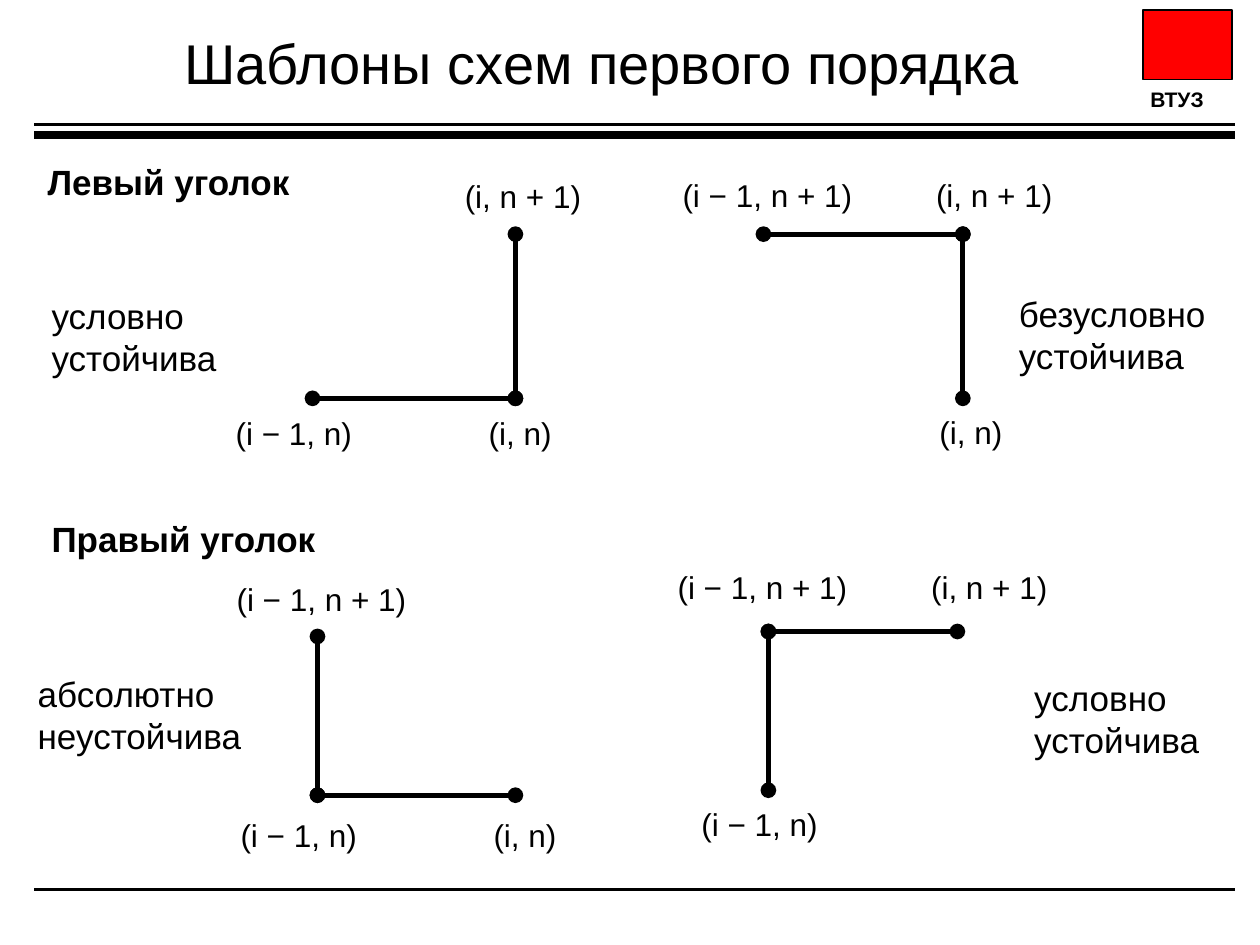
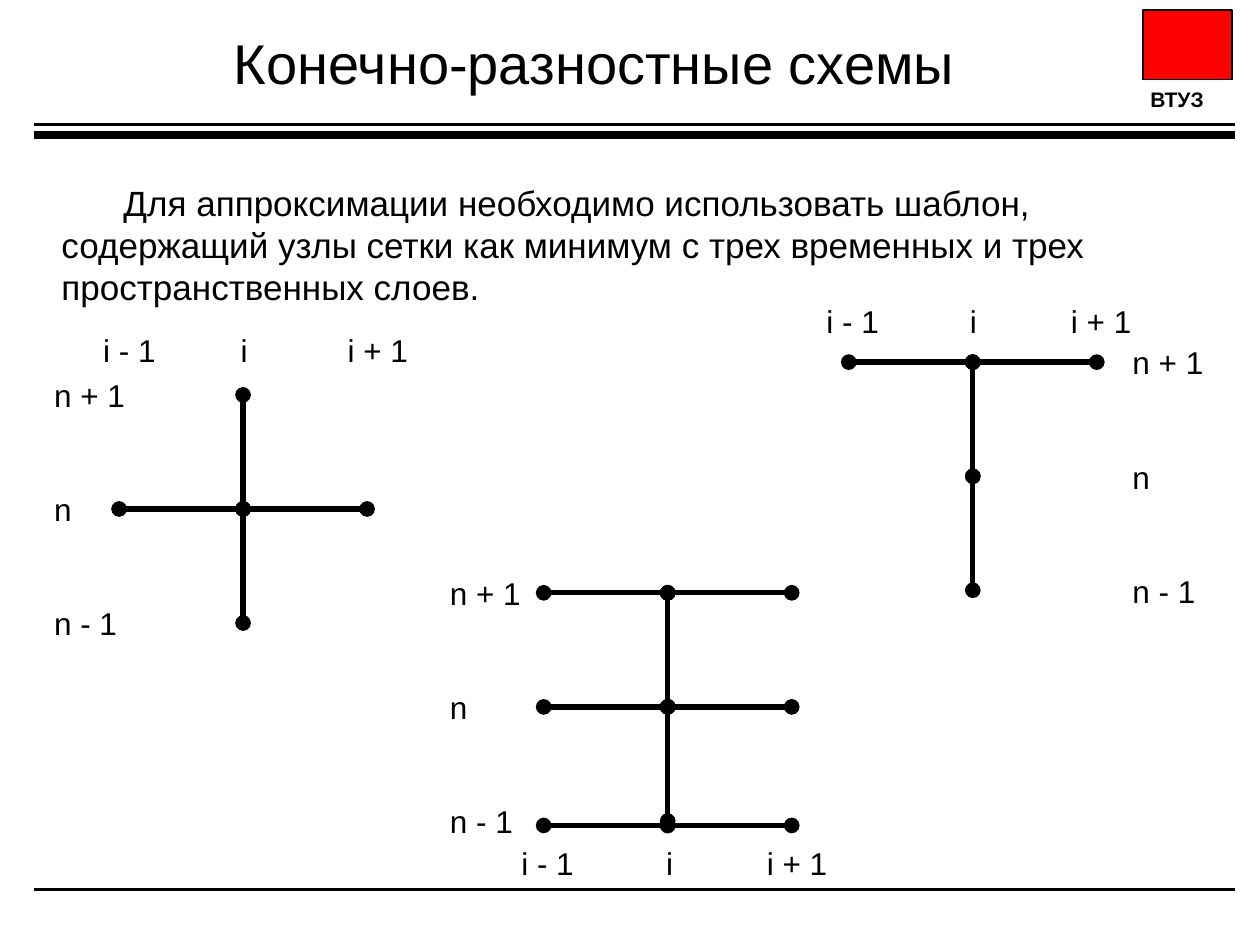
"""Build two slides on grid templates of finite-difference schemes."""
from lxml import etree
from pptx import Presentation
from pptx.dml.color import RGBColor
from pptx.enum.shapes import MSO_CONNECTOR, MSO_SHAPE
from pptx.enum.text import MSO_ANCHOR, MSO_AUTO_SIZE, PP_ALIGN
from pptx.oxml.ns import qn
from pptx.util import Cm, Pt

STRAIGHT = MSO_CONNECTOR.STRAIGHT
RECTANGLE = MSO_SHAPE.RECTANGLE
MIDDLE = MSO_ANCHOR.MIDDLE
CENTER = PP_ALIGN.CENTER
LEFT = PP_ALIGN.LEFT
NO_AUTOFIT = MSO_AUTO_SIZE.NONE

BLACK = RGBColor(0, 0, 0)
RED = RGBColor(255, 0, 0)
FONT = "Arial"
TITLE_ONLY = 5

RULES = [(17.93, 1.5), (2.72, 4.5), (2.51, 1.5)]
COLUMN_STEP, ROW_STEP = 2.5, 2.3
COLUMN_NAMES = ["i - 1", "i", "i + 1"]
ROW_NAMES = ["n + 1", "n", "n - 1"]
LABEL_WIDTHS = {
    "(i, n + 1)": 2.87, "(i − 1, n + 1)": 3.96, "(i, n)": 1.8, "(i − 1, n)": 2.87,
    "n + 1": 1.96, "n": 0.86, "n - 1": 1.8, "i - 1": 1.57, "i": 1.57, "i + 1": 1.75,
}

# corner x, corner y, free end of the row, free end of the column
CORNERS = [
    (10.39, 8.03, 6.3, 4.72),
    (19.41, 4.72, 15.39, 8.03),
    (6.4, 16.03, 10.39, 12.83),
    (15.49, 12.73, 19.3, 15.93),
]
NODE_LABELS = [
    ("(i, n + 1)", 9.12, 3.45), ("(i, n)", 9.6, 8.23), ("(i − 1, n)", 4.5, 8.23),
    ("(i − 1, n + 1)", 13.51, 3.43), ("(i, n + 1)", 18.62, 3.43), ("(i, n)", 18.69, 8.2),
    ("(i − 1, n + 1)", 4.52, 11.56), ("(i − 1, n)", 4.6, 16.33), ("(i, n)", 9.7, 16.33),
    ("(i − 1, n + 1)", 13.41, 11.33), ("(i, n + 1)", 18.52, 11.33), ("(i − 1, n)", 13.89, 16.1),
]
HEADINGS = [("Левый уголок", 0.71, 3.12), ("Правый уголок", 0.79, 10.31)]
STABILITY_NOTES = [
    ("условно устойчива", 0.79, 5.82, 4.7),
    ("безусловно устойчива", 20.29, 5.77, 5.11),
    ("абсолютно неустойчива", 0.51, 13.44, 5.41),
    ("условно устойчива", 20.6, 13.51, 4.7),
]
STENCILS = [
    {"center": (4.9, 10.26), "bars": [0], "row_left": 0.84,
     "column_lefts": [1.83, 4.6, 6.76], "column_top": 6.55},
    {"center": (19.61, 9.6), "bars": [-ROW_STEP], "row_left": 22.58,
     "column_lefts": [16.41, 19.3, 21.34], "column_top": 5.97},
    {"center": (13.46, 14.25), "bars": [-ROW_STEP, 0, 2.39], "row_left": 8.82,
     "column_lefts": [10.26, 13.18, 15.21], "column_top": 16.89},
]


def set_font(paragraph, size, bold=False):
    """Apply the common typeface and colour to a paragraph."""
    for name, value in {"name": FONT, "size": Pt(size), "bold": bold}.items():
        setattr(paragraph.font, name, value)
    paragraph.font.color.rgb = BLACK


def add_text(slide, text, left, top, width, height, size=20, bold=False, wrap=True):
    """Add a text box and return its paragraph."""
    frame = slide.shapes.add_textbox(Cm(left), Cm(top), Cm(width), Cm(height)).text_frame
    frame.word_wrap = wrap
    paragraph = frame.paragraphs[0]
    paragraph.text = text
    paragraph.alignment = LEFT
    set_font(paragraph, size, bold)
    return paragraph


def add_label(slide, text, left, top):
    """Add a one-line grid label."""
    add_text(slide, text, left, top, LABEL_WIDTHS[text], 1.02, size=18, wrap=False)


def add_line(slide, start, end, weight):
    """Add a plain black line and return it."""
    line = slide.shapes.add_connector(STRAIGHT, *map(Cm, start + end))
    line.line.color.rgb = BLACK
    line.line.width = Pt(weight)
    etree.SubElement(line._element.spPr, qn("a:effectLst"))
    return line


def add_edge(slide, start, end):
    """Add a grid edge with a round node at each end."""
    outline = add_line(slide, start, end, 3).line._get_or_add_ln()
    for node in ("a:headEnd", "a:tailEnd"):
        etree.SubElement(outline, qn(node), type="oval")


def add_emblem(slide):
    """Add the plain emblem block with its caption."""
    emblem = slide.shapes.add_shape(RECTANGLE, Cm(23.04), Cm(0.2), Cm(1.8), Cm(1.4))
    emblem.shadow.inherit = False
    emblem.fill.solid()
    emblem.fill.fore_color.rgb = RED
    emblem.line.color.rgb = BLACK
    emblem.line.width = Pt(0.75)
    add_text(slide, "ВТУЗ", 22.94, 1.63, 2.01, 0.76, size=12, bold=True)


def add_titled_slide(deck, title):
    """Add a slide with the shared title, rules and emblem."""
    slide = deck.slides.add_slide(deck.slide_layouts[TITLE_ONLY])
    heading = slide.shapes.title
    place = {"left": 0.71, "top": 0, "width": 22.86, "height": 2.51}
    for name, value in place.items():
        setattr(heading, name, Cm(value))
    frame = heading.text_frame
    frame.text = title
    frame.auto_size = NO_AUTOFIT
    frame.vertical_anchor = MIDDLE
    frame.paragraphs[0].alignment = CENTER
    set_font(frame.paragraphs[0], 32)
    for y, weight in RULES:
        add_line(slide, (0.69, y), (24.89, y), weight)
    add_emblem(slide)
    return slide


def add_corner(slide, x, y, row_end, column_end):
    """Add a three-node corner template."""
    add_edge(slide, (x, y), (row_end, y))
    add_edge(slide, (x, y), (x, column_end))


def add_stencil(slide, center, bars, row_left, column_lefts, column_top):
    """Add a three-layer template with row and column labels."""
    x, y = center
    for direction in (-1, 1):
        add_edge(slide, center, (x, y + direction * ROW_STEP))
        for offset in bars:
            add_edge(slide, (x, y + offset), (x + direction * COLUMN_STEP, y + offset))
    for row, name in enumerate(ROW_NAMES, start=-1):
        add_label(slide, name, row_left, y + row * ROW_STEP - 0.5)
    for name, left in zip(COLUMN_NAMES, column_lefts):
        add_label(slide, name, left, column_top)


def build_first_order(deck):
    """Build the slide with the four corner templates."""
    slide = add_titled_slide(deck, "Шаблоны схем первого порядка")
    for text, left, top in HEADINGS:
        add_text(slide, text, left, top, 7.7, 1.12, bold=True)
    for text, left, top, width in STABILITY_NOTES:
        add_text(slide, text, left, top, width, 1.96)
    for label in NODE_LABELS:
        add_label(slide, *label)
    for corner in CORNERS:
        add_corner(slide, *corner)


def build_three_layer(deck):
    """Build the slide with the three-layer templates."""
    slide = add_titled_slide(deck, "Конечно-разностные схемы ")
    statement = add_text(
        slide,
        "Для аппроксимации необходимо использовать шаблон, содержащий узлы сетки "
        "как минимум с трех временных и трех пространственных слоев.",
        0.99, 3.53, 23.5, 2.82)
    statement._p.get_or_add_pPr().set("indent", str(Cm(1.25)))
    for stencil in STENCILS:
        add_stencil(slide, **stencil)


def main():
    """Create and save the presentation."""
    deck = Presentation()
    deck.slide_width, deck.slide_height = Cm(25.4), Cm(19.05)
    build_first_order(deck)
    build_three_layer(deck)
    deck.save("out.pptx")


if __name__ == "__main__":
    main()
